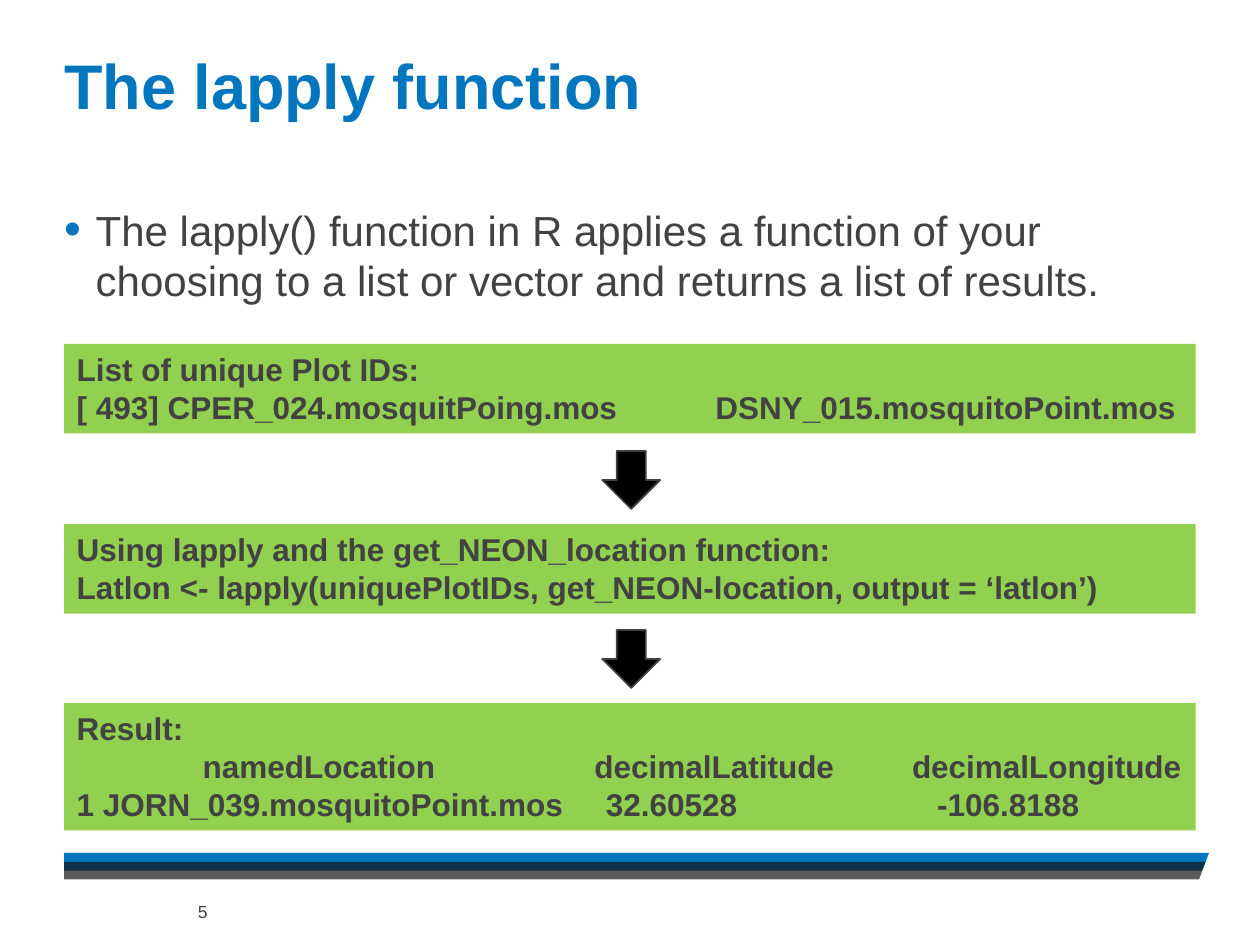
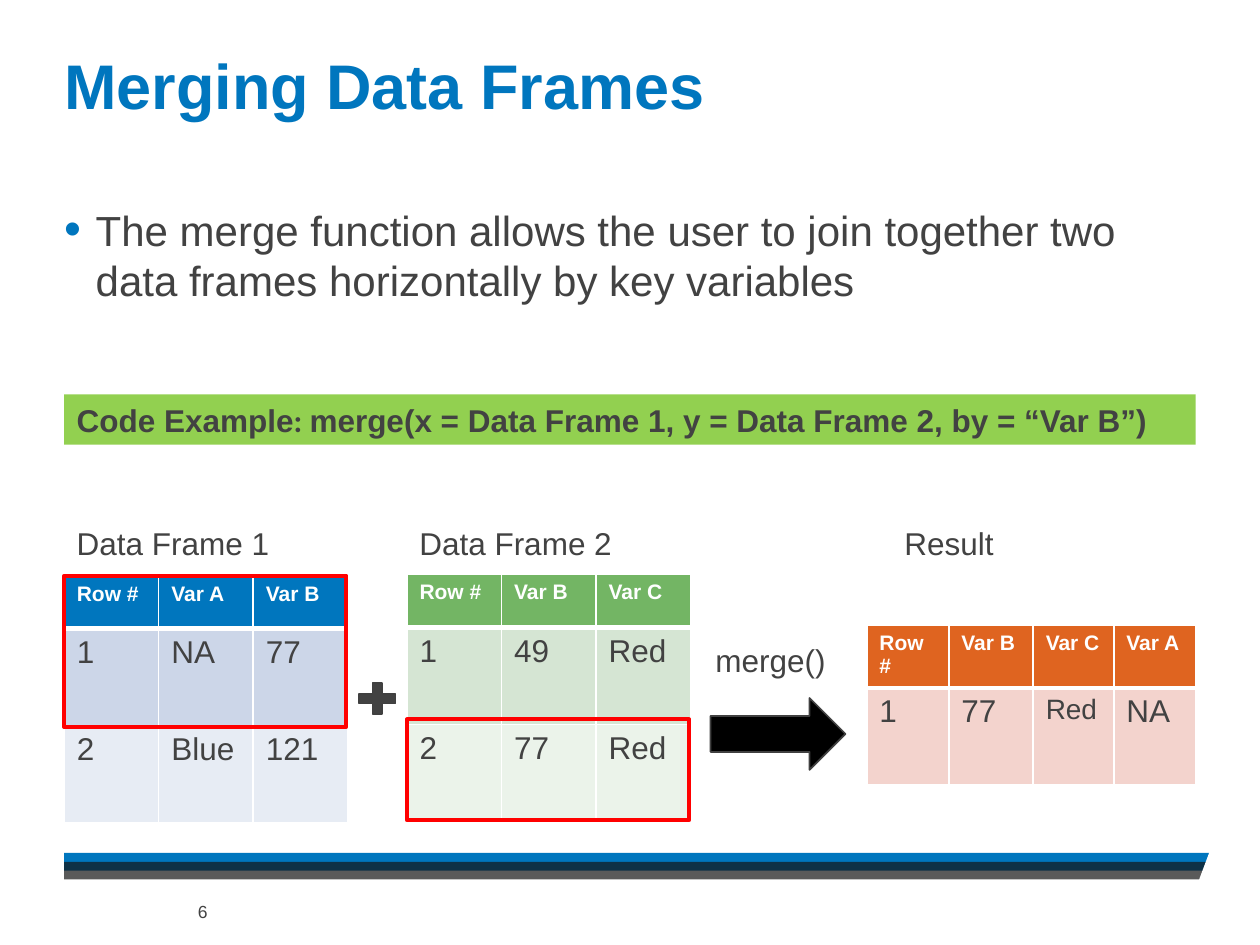
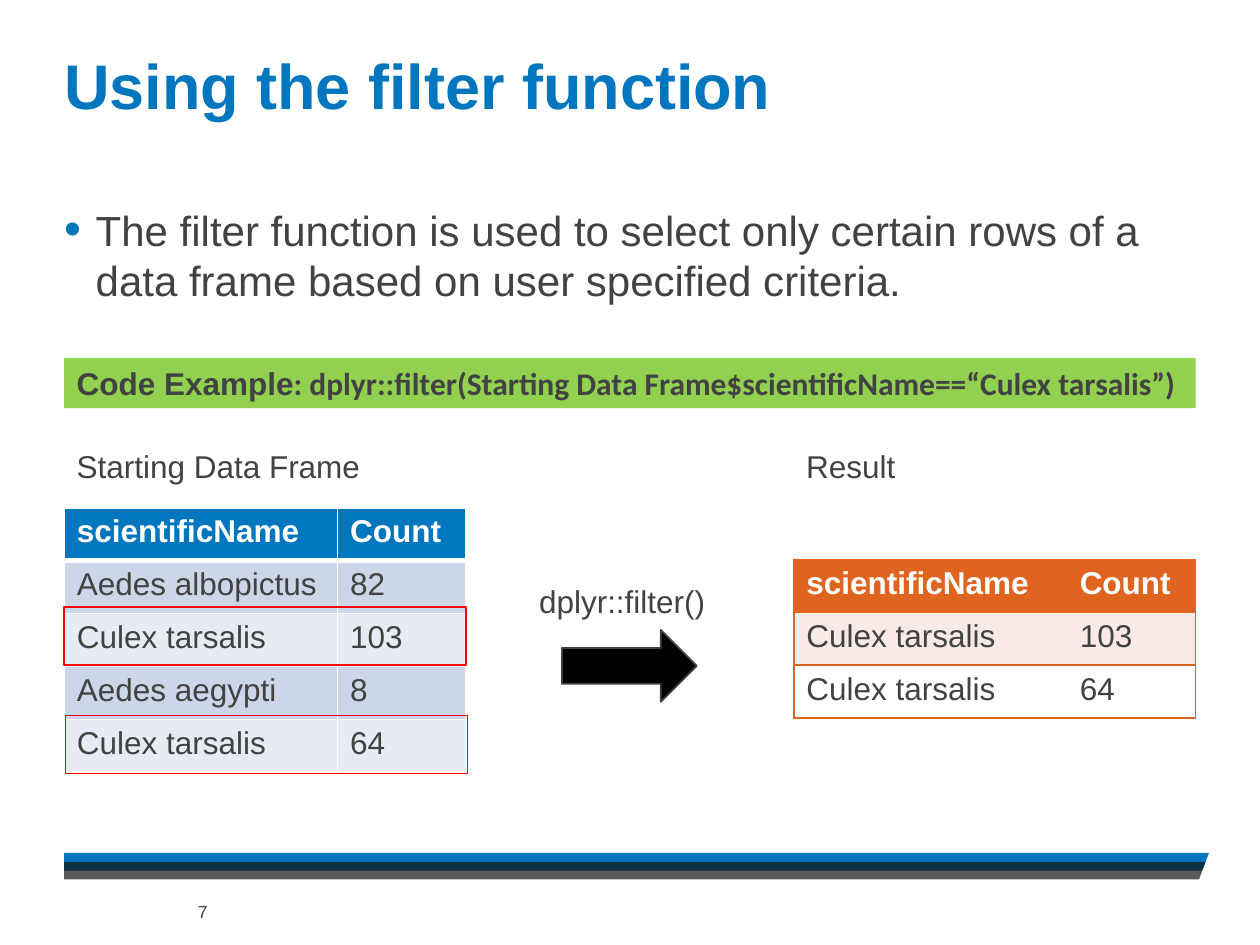
from lxml import etree
from pptx import Presentation, util as u
from pptx.dml.color import RGBColor
from pptx.enum import shapes, text
from pptx.oxml import ns

PX = 9144  # 100 px to the inch
LEFT, WIDTH = 51, 898
BLUE, GREEN, ORANGE = "0076BE", "73B564", "DF6420"
LIME, RED, WHITE, BLACK = "92D050", "FF0000", "FFFFFF", "000000"
INK, EDGE, SHADE = "424242", "404040", "141414"
BLUE_BANDS = ["CCD6E8", "E7ECF4"]
GREEN_BANDS = ["D5E5D3", "EBF3EA"]
SHAPE = shapes.MSO_SHAPE


def rgb(value):
    return RGBColor.from_string(value)


def px(*values):
    return [u.Emu(v * PX) for v in values]


def sub(parent, tag, **attrs):
    return etree.SubElement(parent, ns.qn(tag), attrs)


def cell_border(cell, side, color, width):
    """Draw one side (L, R, T or B) of a cell; no color means no line."""
    ln = sub(cell._tc.get_or_add_tcPr(), f"a:ln{side}", w=str(u.Pt(width)))
    if color:
        sub(sub(ln, "a:solidFill"), "a:srgbClr", val=color)
    else:
        sub(ln, "a:noFill")


def white_grid(row, col, last_col):
    """Thin white lines, with a thick one under the header."""
    under = 3 if row == 0 else 1
    above = 3 if row == 1 else 1
    return {"L": (WHITE, 1), "R": (WHITE, 1), "T": (WHITE, above), "B": (WHITE, under)}


def orange_rules(row, col, last_col):
    """Orange outline and row lines, no inner column lines."""
    return {"L": (None if col else ORANGE, 1),
            "R": (ORANGE if col == last_col else None, 1),
            "T": (ORANGE, 1), "B": (ORANGE, 1)}


class Deck:
    def __init__(self):
        self.prs = Presentation()
        self.prs.slide_width, self.prs.slide_height = px(1000, 750)
        self.s = None

    def slide(self, number, title, body):
        self.s = self.prs.slides.add_slide(self.prs.slide_layouts[6])
        self.footer(number)
        self.bullet(body)
        tf = self.text(LEFT, 46, WIDTH, 105, title, size=36, color=BLUE, bold=True, inset=0)
        tf.paragraphs[0].line_spacing = 0.85

    def footer(self, number):
        self.shape(SHAPE.RECTANGLE, LEFT, 677, 910, 14, BLUE)
        shade = self.shape(SHAPE.RECTANGLE, LEFT, 684, 910, 14, SHADE)
        color = shade._element.spPr.find(f".//{ns.qn('a:srgbClr')}")
        sub(color, "a:alpha", val="70000")
        fb = self.s.shapes.build_freeform(951, 700, scale=PX)
        fb.add_line_segments([(960, 676), (963, 676), (963, 700)])
        self.paint(fb.convert_to_shape(), WHITE)
        tf = self.text(157, 712, 61, 23, str(number), size=10)
        tf.margin_left = 0
        tf.vertical_anchor = text.MSO_ANCHOR.MIDDLE

    def bullet(self, words):
        tf = self.text(LEFT, 162, WIDTH, 507, words, size=24, inset=0)
        p = tf.paragraphs[0]
        p.space_after = u.Pt(5)
        pPr = p._p.get_or_add_pPr()
        indent = 25 * PX
        pPr.set("marL", str(indent))
        pPr.set("indent", str(-indent))
        sub(sub(pPr, "a:buClr"), "a:srgbClr", val=BLUE)
        sub(pPr, "a:buSzPct", val="115000")
        sub(pPr, "a:buFont", typeface="Arial")
        sub(pPr, "a:buChar", char="•")

    def run(self, p, words, size=18, color=INK, bold=False, font="Arial"):
        r = p.add_run()
        r.text = words
        r.font.name, r.font.size, r.font.bold = font, u.Pt(size), bold
        r.font.color.rgb = rgb(color)

    def text(self, x, y, w, h, words, inset=None, **style):
        tf = self.s.shapes.add_textbox(*px(x, y, w, h)).text_frame
        tf.word_wrap = True
        if inset is not None:
            tf.margin_left = tf.margin_right = tf.margin_top = tf.margin_bottom = inset
        self.run(tf.paragraphs[0], words, **style)
        return tf

    def paint(self, sp, fill=None, line=None, width=1):
        sp.shadow.inherit = False
        if fill:
            sp.fill.solid()
            sp.fill.fore_color.rgb = rgb(fill)
        else:
            sp.fill.background()
        if line:
            sp.line.color.rgb = rgb(line)
            sp.line.width = u.Pt(width)
        else:
            sp.line.fill.background()

    def shape(self, kind, x, y, w, h, fill=None, line=None, width=1):
        sp = self.s.shapes.add_shape(kind, *px(x, y, w, h))
        self.paint(sp, fill, line, width)
        return sp

    def arrow(self, kind, x, y, w, h):
        self.shape(kind, x, y, w, h, BLACK, EDGE)

    def highlight(self, x, y, w, h, width):
        self.shape(SHAPE.RECTANGLE, x, y, w, h, line=RED, width=width)

    def code_box(self, y, h, lines):
        """Green box; each line is a list of (words, font) runs and a list of tab stops."""
        tf = self.shape(SHAPE.RECTANGLE, LEFT, y, WIDTH, h, LIME).text_frame
        tf.word_wrap = True
        tf.vertical_anchor = text.MSO_ANCHOR.TOP
        for i, (runs, tabs) in enumerate(lines):
            p = tf.add_paragraph() if i else tf.paragraphs[0]
            p.alignment = text.PP_ALIGN.LEFT
            if tabs:
                tab_list = sub(p._p.get_or_add_pPr(), "a:tabLst")
                for pos in tabs:
                    sub(tab_list, "a:tab", pos=str(pos * PX), algn="l")
            for words, font in runs:
                self.run(p, words, bold=True, font=font)

    def table(self, x, y, cols, rows, data, head, bands, head_size=18,
              borders=white_grid, sizes=None):
        """Fill a table; sizes maps (row, column) to a text size of its own."""
        frame = self.s.shapes.add_table(len(rows), len(cols), *px(x, y, sum(cols), sum(rows)))
        tbl = frame.table
        tbl.horz_banding = False
        for col, w in zip(tbl.columns, px(*cols)):
            col.width = w
        for row, h in zip(tbl.rows, px(*rows)):
            row.height = h
        for i, values in enumerate(data):
            for j, words in enumerate(values):
                cell = tbl.cell(i, j)
                for side, (color, width) in borders(i, j, len(cols) - 1).items():
                    cell_border(cell, side, color, width)
                cell.fill.solid()
                cell.fill.fore_color.rgb = rgb(bands[(i - 1) % len(bands)] if i else head)
                p = cell.text_frame.paragraphs[0]
                if i:
                    self.run(p, words, size=(sizes or {}).get((i, j), 18))
                else:
                    self.run(p, words, size=head_size, color=WHITE, bold=True)


def lapply_slide(d):
    d.slide(5, "The lapply function",
            "The lapply() function in R applies a function of your choosing "
            "to a list or vector and returns a list of results.")
    for y in (358, 500):
        d.arrow(SHAPE.DOWN_ARROW, 478, y, 46, 46)
    steps = [
        (273, 71, [("List of unique Plot IDs:", []),
                   ("[ 493] CPER_024.mosquitPoing.mos\tDSNY_015.mosquitoPoint.mos", [507])]),
        (416, 71, [("Using lapply and the get_NEON_location function:", []),
                   ("Latlon <- lapply(uniquePlotIDs, get_NEON-location, output = ‘latlon’)", [])]),
        (558, 101, [("Result:", []),
                    ("\tnamedLocation\tdecimalLatitude\tdecimalLongitude", [100, 411, 663]),
                    ("1 JORN_039.mosquitoPoint.mos\t32.60528\t-106.8188", [420, 683])]),
    ]
    for y, h, lines in steps:
        d.code_box(y, h, [([(words, "Arial")], tabs) for words, tabs in lines])


def merge_slide(d):
    d.slide(6, "Merging Data Frames",
            "The merge function allows the user to join together two "
            "data frames horizontally by key variables")
    cols, rows = [75, 75, 75], [42, 77, 77]
    d.table(LEFT, 457, cols, rows,
            [["Row #", "Var A", "Var B"], ["1", "NA", "77"], ["2", "Blue", "121"]],
            BLUE, BLUE_BANDS, head_size=12)
    d.table(323, 456, cols, rows,
            [["Row #", "Var B", "Var C"], ["1", "49", "Red"], ["2", "77", "Red"]],
            GREEN, GREEN_BANDS, head_size=12)
    d.shape(SHAPE.MATH_PLUS, 280, 538, 39, 33, INK, EDGE)
    d.highlight(LEFT, 457, 224, 120, 2.25)
    d.highlight(323, 571, 224, 80, 2.25)
    d.table(688, 496, [65, 67, 64, 65], [42, 77],
            [["Row #", "Var B", "Var C", "Var A"], ["1", "77", "Red", "NA"]],
            ORANGE, ["F3D3CD"], head_size=12, sizes={(1, 2): 16})
    d.arrow(SHAPE.RIGHT_ARROW, 564, 554, 107, 57)
    d.text(558, 504, 113, 40, "merge()")
    for x, label in [(LEFT, "Data Frame 1"), (323, "Data Frame 2"), (708, "Result")]:
        d.text(x, 411, 224, 40, label)
    d.code_box(313, 40, [([("Code Example", "Arial"), (": ", "Calibri"),
                           ("merge(x = Data Frame 1, y = Data Frame 2, by = “Var B”)", "Arial")],
                          [])])


def filter_slide(d):
    d.slide(7, "Using the filter function",
            "The filter function is used to select only certain rows of a "
            "data frame based on user specified criteria.")
    cols, head = [217, 102], ["scientificName", "Count"]
    matches = [["Culex tarsalis", "103"], ["Culex tarsalis", "64"]]
    start = [head, ["Aedes albopictus", "82"], matches[0], ["Aedes aegypti", "8"], matches[1]]
    d.table(LEFT, 403, cols, [42] * 5, start, BLUE, BLUE_BANDS)
    d.table(630, 444, cols, [42] * 3, [head] + matches, ORANGE, ["F9EAE8", WHITE],
            borders=orange_rules)
    d.highlight(LEFT, 482, 319, 46, 1)
    d.highlight(52, 568, 319, 46, 1)
    d.arrow(SHAPE.RIGHT_ARROW, 446, 500, 107, 57)
    d.text(418, 457, 164, 40, "dplyr::filter()")
    d.code_box(284, 40, [([("Code Example", "Arial"),
                           (": dplyr::filter(Starting Data Frame$scientificName=="
                            "“Culex tarsalis”)", "Calibri")], [])])
    for x, label in [(LEFT, "Starting Data Frame"), (630, "Result")]:
        d.text(x, 350, 319, 40, label)


def main():
    d = Deck()
    lapply_slide(d)
    merge_slide(d)
    filter_slide(d)
    d.prs.save("out.pptx")


if __name__ == "__main__":
    main()
